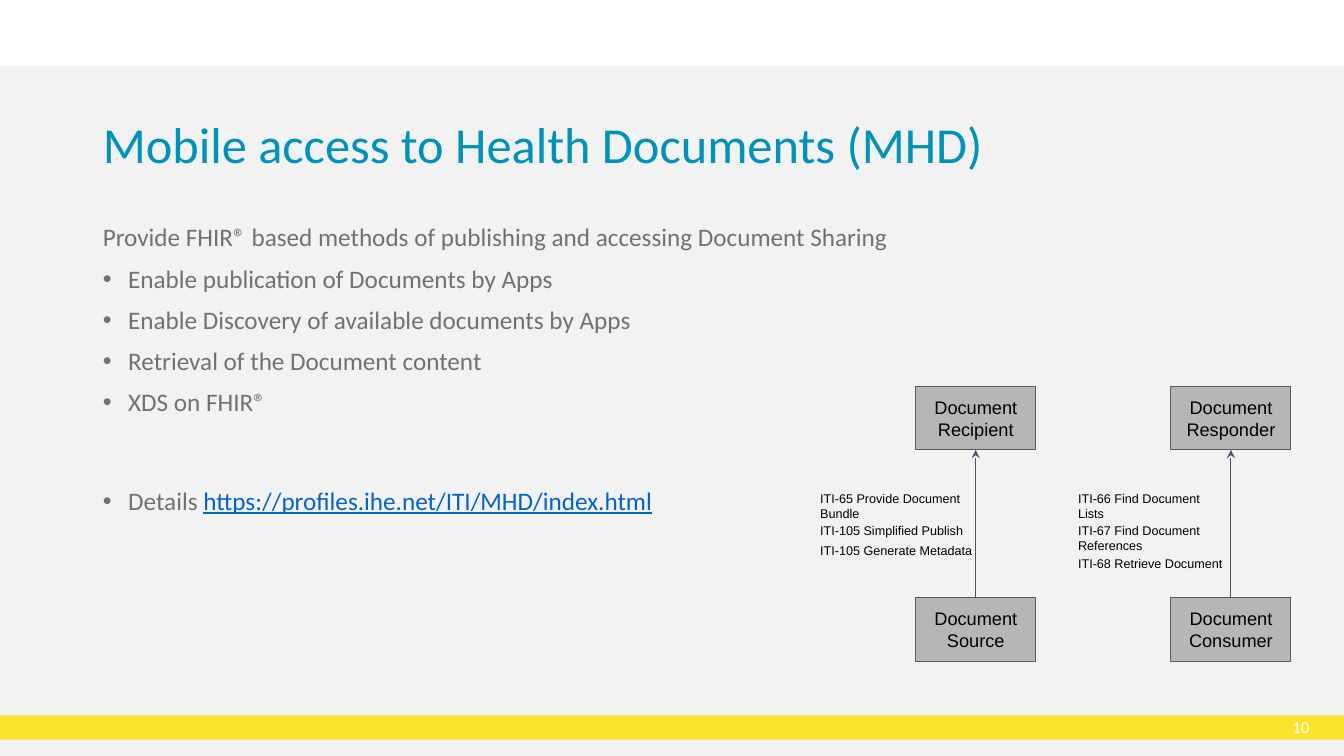
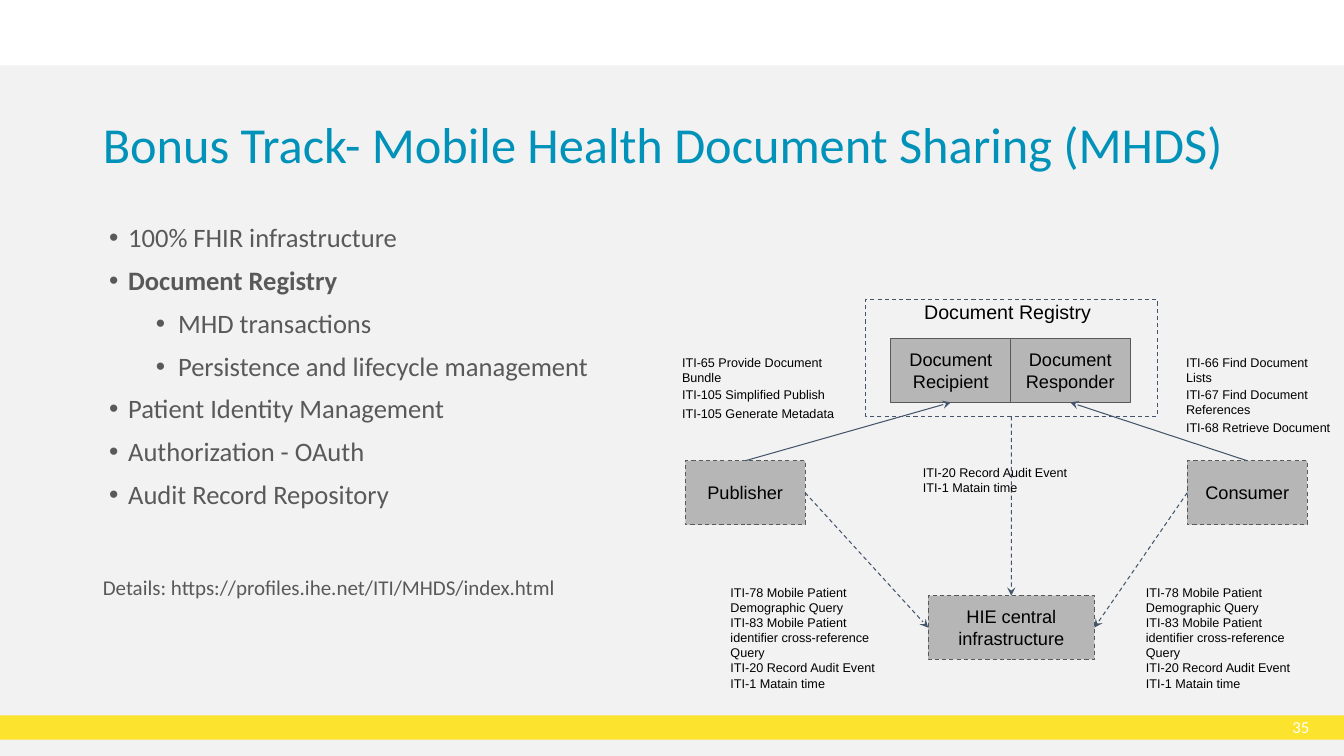
from dataclasses import dataclass
from typing import Any, NamedTuple

from pptx import Presentation
from pptx.dml.color import RGBColor
from pptx.enum.dml import MSO_LINE
from pptx.enum.shapes import MSO_CONNECTOR, MSO_SHAPE
from pptx.enum.text import MSO_ANCHOR, MSO_AUTO_SIZE, PP_ALIGN
from pptx.oxml.ns import qn
from pptx.util import Cm, Pt
from lxml import etree

RECT = MSO_SHAPE.RECTANGLE
STRAIGHT = MSO_CONNECTOR.STRAIGHT
DASH = MSO_LINE.DASH
LEFT, MID, RIGHT = PP_ALIGN.LEFT, PP_ALIGN.CENTER, PP_ALIGN.RIGHT
TOP, HALF = MSO_ANCHOR.TOP, MSO_ANCHOR.MIDDLE
FIXED = MSO_AUTO_SIZE.NONE
NORTH, WEST, SOUTH, EAST = range(4)


@dataclass(frozen=True)
class Theme:
    page: str = "F2F2F2"
    band: str = "FCE32D"
    white: str = "FFFFFF"
    title: str = "0092B9"
    soft: str = "757070"
    dark: str = "595959"
    link: str = "0563C1"
    box: str = "B6B6B6"
    wire: str = "44546A"
    ink: str = "000000"
    head: str = "Calibri"
    plain: str = "Arial"
    huge: float = 36
    body: float = 18
    large: float = 19
    foot: float = 15
    label: float = 14
    node: float = 13
    page_no: float = 12
    note: float = 9
    edge: float = 0.75


T = Theme()


class Area(NamedTuple):
    x: float
    y: float
    w: float = 3.02
    h: float = 1.61


class Box(NamedTuple):
    text: str
    area: Area
    dashed: bool = False
    fill: str | None = T.box
    line: str = T.dark


class Link(NamedTuple):
    start: str
    out: int
    end: str
    into: int
    dashed: bool = False


class Note(NamedTuple):
    x: float
    y: float
    texts: list[str]
    w: float = 4.19


class Item(NamedTuple):
    text: str
    left: float = 0.0
    hang: float = 0.0
    gap: float = 10
    size: float = T.body
    bold: bool = False
    link: str = ""


class Page(NamedTuple):
    number: str
    title: str
    wide: float
    color: str
    items: list[Item]
    boxes: list[Box]
    links: list[Link]
    notes: list[Note]


def put(thing: Any, values: dict[str, Any]) -> None:
    for name, value in values.items():
        setattr(thing, name, value)


def place(shape: Any, area: Area) -> None:
    put(shape, dict(zip(("left", "top", "width", "height"), map(Cm, area))))


def pad(frame: Any, side: float, end: float, anchor: Any) -> None:
    put(frame, {
        "margin_left": Cm(side), "margin_right": Cm(side),
        "margin_top": Cm(end), "margin_bottom": Cm(end),
        "vertical_anchor": anchor, "word_wrap": True, "auto_size": FIXED,
    })


def write(para: Any, text: str, face: str, size: float, color: str,
          **more: Any) -> None:
    run = para.add_run()
    run.text = text
    put(run.font, {"name": face, "size": Pt(size), **more})
    run.font.color.rgb = RGBColor.from_string(color)


def bullet(para: Any, item: Item) -> None:
    props = para._p.get_or_add_pPr()
    props.set("marL", str(Cm(item.left)))
    props.set("indent", str(Cm(-item.hang)))
    if item.hang:
        etree.SubElement(props, qn("a:buFont")).set("typeface", T.plain)
        etree.SubElement(props, qn("a:buChar")).set("char", "•")
    else:
        etree.SubElement(props, qn("a:buNone"))


def draw_text(slide: Any, area: Area, texts: list[str], size: float) -> None:
    shape = slide.shapes.add_textbox(*map(Cm, area))
    frame = shape.text_frame
    pad(frame, 0.25, 0.25, TOP)
    for i, text in enumerate(texts):
        para = frame.add_paragraph() if i else frame.paragraphs[0]
        write(para, text, T.plain, size, T.ink)


def draw_rect(slide: Any, area: Area, fill: str | None) -> Any:
    shape = slide.shapes.add_shape(RECT, *map(Cm, area))
    shape.shadow.inherit = False
    if fill:
        shape.fill.solid()
        shape.fill.fore_color.rgb = RGBColor.from_string(fill)
    else:
        shape.fill.background()
    return shape


def draw_line(line: Any, color: str, dashed: bool) -> None:
    line.color.rgb = RGBColor.from_string(color)
    line.width = Pt(T.edge)
    if dashed:
        line.dash_style = DASH


def draw_box(slide: Any, box: Box) -> Any:
    shape = draw_rect(slide, box.area, box.fill)
    draw_line(shape.line, box.line, box.dashed)
    if box.fill:
        pad(shape.text_frame, 0.25, 0.25, HALF)
        para = shape.text_frame.paragraphs[0]
        para.alignment = MID
        write(para, box.text, T.plain, T.node, T.ink)
    return shape


def draw_link(slide: Any, link: Link, nodes: dict[str, Any]) -> None:
    wire = slide.shapes.add_connector(STRAIGHT, 0, 0, 0, 0)
    wire.begin_connect(nodes[link.start], link.out)
    wire.end_connect(nodes[link.end], link.into)
    draw_line(wire.line, T.wire, link.dashed)
    props = wire.element.spPr
    etree.SubElement(props.get_or_add_ln(), qn("a:tailEnd")).set("type", "stealth")
    etree.SubElement(props, qn("a:effectLst"))


def draw_bands(deck: Any, slide: Any) -> None:
    tree = deck.slide_master.shapes.element
    bands = ((Area(0, 1.65, 33.87, 17.4), T.page),
             (Area(0, 18.03, 33.87, 0.61), T.band))
    for i, (area, color) in enumerate(bands):
        shape = draw_rect(slide, area, color)
        shape.line.fill.background()
        shape.element.nvSpPr.cNvPr.set("id", str(20 + i))
        tree.insert(2 + i, shape.element)


def draw_head(slide: Any, page: Page) -> None:
    title = slide.shapes.title
    place(title, Area(2.34, 2.9, 29.21, 2.46))
    pad(title.text_frame, 0.25, 0.13, TOP)
    para = title.text_frame.paragraphs[0]
    put(para, {"alignment": LEFT, "line_spacing": 0.9})
    write(para, page.title, T.head, T.huge, T.title)

    number = slide.shapes.add_textbox(*map(Cm, (31.98, 18.03, 1.02, 0.58)))
    pad(number.text_frame, 0, 0, HALF)
    para = number.text_frame.paragraphs[0]
    para.alignment = RIGHT
    write(para, page.number, T.head, T.page_no, T.white)


def draw_body(slide: Any, page: Page) -> None:
    body = slide.placeholders[1]
    place(body, Area(2.34, 5.54, page.wide, 11.73))
    frame = body.text_frame
    pad(frame, 0.25, 0.13, TOP)
    for i, item in enumerate(page.items):
        para = frame.add_paragraph() if i else frame.paragraphs[0]
        bullet(para, item)
        put(para, {"alignment": LEFT, "line_spacing": 0.9,
                   "space_before": Pt(item.gap if i else 0)})
        write(para, item.text, T.head, item.size, page.color, bold=item.bold)
        if item.link:
            write(para, item.link, T.head, item.size, T.link, underline=True)


def draw_page(slide: Any, page: Page) -> None:
    draw_head(slide, page)
    draw_body(slide, page)
    nodes = {box.text: draw_box(slide, box) for box in page.boxes}
    for box in page.boxes:
        if not box.fill:
            spot = Area(box.area.x + 1.22, box.area.y - 0.22, 4.85, 1.12)
            draw_text(slide, spot, [box.text], T.label)
    for link in page.links:
        draw_link(slide, link, nodes)
    for note in page.notes:
        draw_text(slide, Area(note.x, note.y, note.w, 0.53), note.texts, T.note)


def stack(x: float, y: float, rows: dict[str, float]) -> list[Note]:
    last = len(rows) - 1
    return [Note(x, y + step, [text], 4.37 if i == last else 4.19)
            for i, (text, step) in enumerate(rows.items())]


def point(text: str, **more: Any) -> Item:
    return Item(text, 0.64, 0.64, **more)


def entry(text: str, bold: bool = False) -> Item:
    return Item(text, 0.64, 0.48, size=T.large, bold=bold)


def nested(text: str) -> Item:
    return Item(text, 1.9, 0.56, size=T.large)


REC, RESP = "Document Recipient", "Document Responder"
SRC, CONS = "Document Source", "Document Consumer"
PUB, USER = "Publisher", "Consumer"
HUB, STORE = "HIE central infrastructure", "Document Registry"
SEND = {"ITI-65 Provide Document Bundle": 0.0,
        "ITI-105 Simplified Publish": 0.81,
        "ITI-105 Generate Metadata": 1.3}
FETCH = {"ITI-66 Find Document Lists": 0.0,
         "ITI-67 Find Document References": 0.81,
         "ITI-68 Retrieve Document": 1.63}
AUDIT = ["ITI-20 Record Audit Event", "ITI-1 Matain time"]
QUERY = ["ITI-78 Mobile Patient Demographic Query",
         "ITI-83 Mobile Patient identifier cross-reference Query", *AUDIT]

PAGES = [
    Page("10", "Mobile access to Health Documents (MHD)", 22.91, T.soft,
         [Item("Provide FHIR® based methods of publishing and accessing Document Sharing"),
          point("Enable publication of Documents by Apps"),
          point("Enable Discovery of available documents by Apps"),
          point("Retrieval of the Document content"),
          point("XDS on FHIR®"),
          point("Details ", gap=51, link="https://profiles.ihe.net/ITI/MHD/index.html")],
         [Box(REC, Area(23.08, 9.73)), Box(RESP, Area(29.51, 9.73)),
          Box(SRC, Area(23.08, 15.06)), Box(CONS, Area(29.51, 15.06))],
         [Link(SRC, NORTH, REC, SOUTH), Link(CONS, NORTH, RESP, SOUTH)],
         stack(20.42, 12.12, SEND) + stack(26.92, 12.12, FETCH)),
    Page("35", "Bonus Track- Mobile Health Document Sharing (MHDS)", 14.6, T.dark,
         [entry("100% FHIR infrastructure"), entry(STORE, True),
          nested("MHD transactions"),
          nested("Persistence and lifecycle management"),
          entry("Patient Identity Management"), entry("Authorization - OAuth"),
          entry("Audit Record Repository"),
          Item("Details: https://profiles.ihe.net/ITI/MHDS/index.html",
               gap=48, size=T.foot)],
         [Box(REC, Area(22.45, 8.53)), Box(RESP, Area(25.46, 8.53)),
          Box(PUB, Area(17.27, 11.61), True), Box(USER, Area(29.92, 11.61), True),
          Box(STORE, Area(21.82, 7.54, 7.34, 2.95), True, None, T.wire),
          Box(HUB, Area(23.39, 15.01, 4.19), True)],
         [Link(PUB, NORTH, REC, SOUTH), Link(USER, NORTH, RESP, SOUTH),
          Link(PUB, EAST, HUB, WEST, True), Link(USER, WEST, HUB, EAST, True),
          Link(STORE, SOUTH, HUB, NORTH, True)],
         stack(16.94, 8.69, SEND) + stack(29.64, 8.69, FETCH)
         + [Note(18.16, 14.48, QUERY), Note(28.63, 14.48, QUERY),
            Note(23.01, 11.46, AUDIT)]),
]


def main() -> None:
    deck = Presentation()
    put(deck, {"slide_width": Cm(33.87), "slide_height": Cm(19.05)})
    slides = [deck.slides.add_slide(deck.slide_layouts[1]) for _ in PAGES]
    draw_bands(deck, slides[0])
    for slide, page in zip(slides, PAGES):
        draw_page(slide, page)
    deck.save("out.pptx")


if __name__ == "__main__":
    main()
